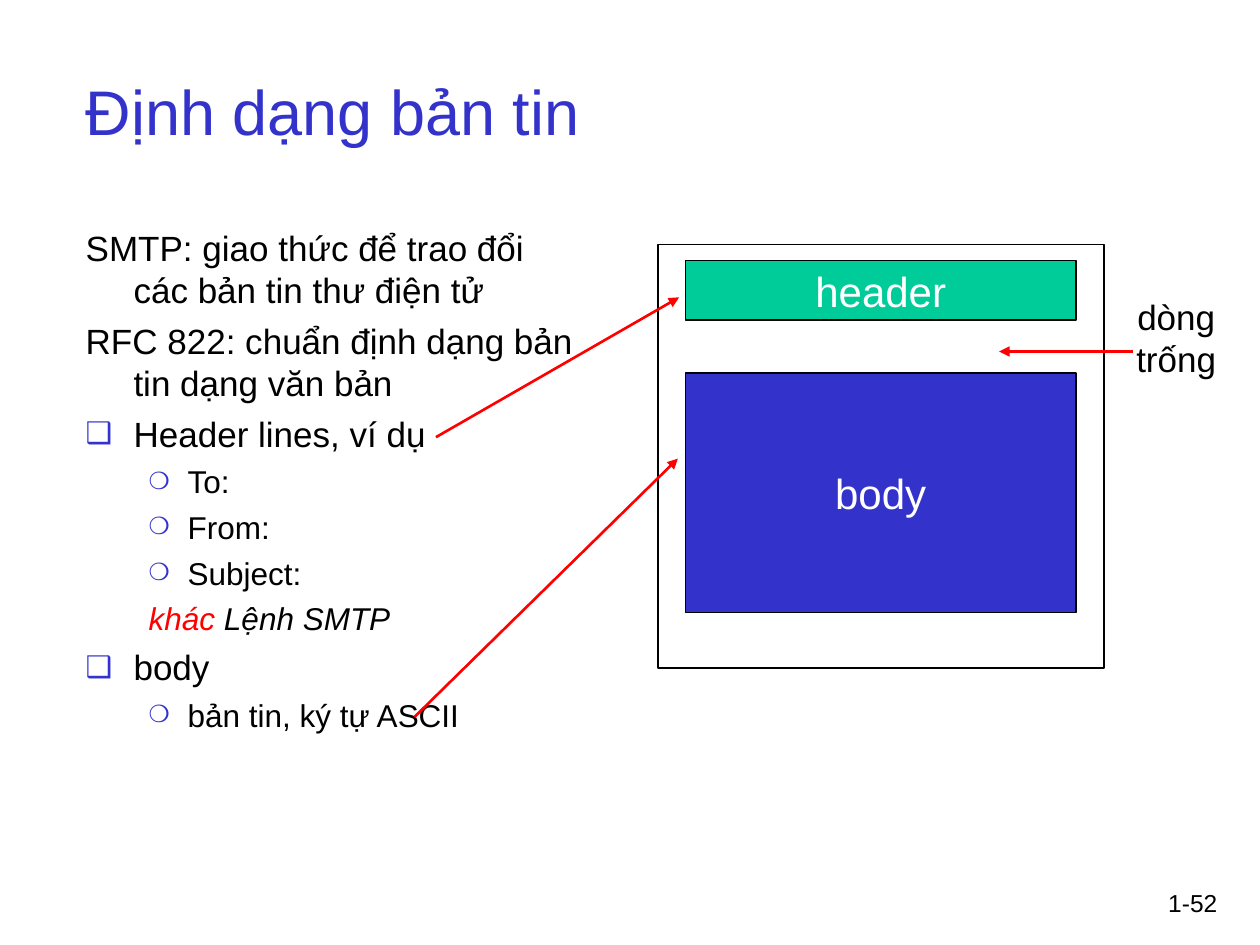
import lxml.etree
import pptx
import pptx.dml.color
import pptx.enum.shapes
import pptx.enum.text
import pptx.oxml.ns
import pptx.util
from pptx.util import Inches

BLUE = pptx.dml.color.RGBColor(0x33, 0x33, 0xCC)
GREEN = pptx.dml.color.RGBColor(0x00, 0xCC, 0x99)
RED = pptx.dml.color.RGBColor(0xFF, 0x00, 0x00)
BLACK = pptx.dml.color.RGBColor(0x00, 0x00, 0x00)
WHITE = pptx.dml.color.RGBColor(0xFF, 0xFF, 0xFF)
FONT = "Arial"
ALIGN = pptx.enum.text.PP_ALIGN
MIDDLE = pptx.enum.text.MSO_ANCHOR.MIDDLE

LEVELS = [
    {"size": 20, "before": 5, "margin": 0.38, "hanging": 0.38, "mark": "❑", "percent": 85},
    {"size": 18, "before": 4.5, "margin": 0.81, "hanging": 0.31, "mark": "❍", "percent": 75},
]
BODY_ITEMS = [
    (0, False, [("SMTP: giao thức để trao đổi các bản tin thư điện tử", BLACK, False)]),
    (0, False, [("RFC 822: chuẩn định dạng bản tin dạng văn bản", BLACK, False)]),
    (0, True, [("Header lines, ví dụ", BLACK, False)]),
    (1, True, [("To:", BLACK, False)]),
    (1, True, [("From:", BLACK, False)]),
    (1, True, [("Subject:", BLACK, False)]),
    (1, False, [("khác ", RED, True), ("Lệnh SMTP", BLACK, True)]),
    (0, True, [("body", BLACK, False)]),
    (1, True, [("bản tin, ký tự ASCII", BLACK, False)]),
]


def add_element(parent, tag, **attributes):
    element = lxml.etree.SubElement(parent, pptx.oxml.ns.qn(tag))
    for name, value in attributes.items():
        element.set(name, str(value))
    return element


def add_run(paragraph, text, size, color, italic=False):
    run = paragraph.add_run()
    run.text = text
    run.font.name = FONT
    run.font.size = pptx.util.Pt(size)
    run.font.color.rgb = color
    run.font.italic = italic


def place(shape, box):
    shape.left, shape.top, shape.width, shape.height = (Inches(length) for length in box)


def set_bullet(paragraph, level, bulleted):
    properties = paragraph._p.get_or_add_pPr()
    properties.set("marL", str(Inches(level["margin"])))
    properties.set("indent", str(-Inches(level["hanging"])))
    if bulleted:
        color = add_element(properties, "a:buClr")
        add_element(color, "a:srgbClr", val=BLUE)
        add_element(properties, "a:buSzPct", val=level["percent"] * 1000)
        add_element(properties, "a:buChar", char=level["mark"])
    else:
        add_element(properties, "a:buNone")


def fill_title(slide, box):
    title = slide.shapes.title
    place(title, box)
    title.text_frame.vertical_anchor = MIDDLE
    title.text_frame.auto_size = pptx.enum.text.MSO_AUTO_SIZE.NONE
    paragraph = title.text_frame.paragraphs[0]
    paragraph.alignment = ALIGN.LEFT
    add_run(paragraph, "Định dạng bản tin", 36, BLUE)


def fill_body(slide, box):
    body = slide.placeholders[1]
    place(body, box)
    frame = body.text_frame
    frame.auto_size = pptx.enum.text.MSO_AUTO_SIZE.NONE
    for index, (depth, bulleted, runs) in enumerate(BODY_ITEMS):
        level = LEVELS[depth]
        paragraph = frame.add_paragraph() if index else frame.paragraphs[0]
        paragraph.level = depth
        paragraph.space_before = pptx.util.Pt(level["before"] if index else 0)
        set_bullet(paragraph, level, bulleted)
        for text, color, italic in runs:
            add_run(paragraph, text, level["size"], color, italic)


def add_rectangle(slide, box, line_width, fill=None, label=None):
    shape = slide.shapes.add_shape(
        pptx.enum.shapes.MSO_SHAPE.RECTANGLE, *(Inches(length) for length in box))
    shape.shadow.inherit = False
    shape.line.color.rgb = BLACK
    shape.line.width = pptx.util.Pt(line_width)
    if fill is None:
        shape.fill.background()
    else:
        shape.fill.solid()
        shape.fill.fore_color.rgb = fill
    if label:
        frame = shape.text_frame
        frame.word_wrap = False
        frame.vertical_anchor = MIDDLE
        frame.paragraphs[0].alignment = ALIGN.CENTER
        add_run(frame.paragraphs[0], label, 24, WHITE)


def add_message(slide, box):
    left, top, width, height = box
    part_left, part_width = left + 0.22, width - 0.44
    add_rectangle(slide, (part_left, top + 0.13, part_width, 0.47), 0.75, GREEN, "header")
    add_rectangle(slide, (part_left, top + 1.02, part_width, 1.9), 0.75, BLUE, "body")
    add_rectangle(slide, box, 1)


def add_arrow(slide, start, end):
    arrow = slide.shapes.add_connector(
        pptx.enum.shapes.MSO_CONNECTOR.STRAIGHT,
        *(Inches(length) for length in start + end))
    arrow.line.color.rgb = RED
    arrow.line.width = pptx.util.Pt(1.5)
    add_element(arrow.line._get_or_add_ln(), "a:tailEnd", type="triangle")
    add_element(arrow._element.spPr, "a:effectLst")


def add_label(slide, box, lines, size, alignment, wrap):
    label = slide.shapes.add_textbox(*(Inches(length) for length in box))
    frame = label.text_frame
    frame.word_wrap = wrap
    for index, text in enumerate(lines):
        paragraph = frame.add_paragraph() if index else frame.paragraphs[0]
        paragraph.alignment = alignment
        add_run(paragraph, text, size, BLACK)


def main():
    presentation = pptx.Presentation()
    presentation.slide_width = Inches(10)
    presentation.slide_height = Inches(7.5)
    slide = presentation.slides.add_slide(presentation.slide_layouts[1])
    add_label(slide, (9.08, 7, 0.68, 0.5), ["1-52"], 14, ALIGN.RIGHT, True)
    fill_title(slide, (0.58, 0.25, 8.5, 1.25))
    fill_body(slide, (0.58, 1.75, 4.17, 5.08))
    add_message(slide, (5.22, 1.94, 3.54, 3.36))
    add_arrow(slide, (3.46, 3.47), (5.39, 2.36))
    add_arrow(slide, (3.29, 5.69), (5.38, 3.64))
    add_label(slide, (8.89, 2.3, 0.89, 0.77), ["dòng ", "trống"], 20, ALIGN.CENTER, False)
    add_arrow(slide, (8.99, 2.79), (7.93, 2.79))
    presentation.save("out.pptx")


if __name__ == "__main__":
    main()
